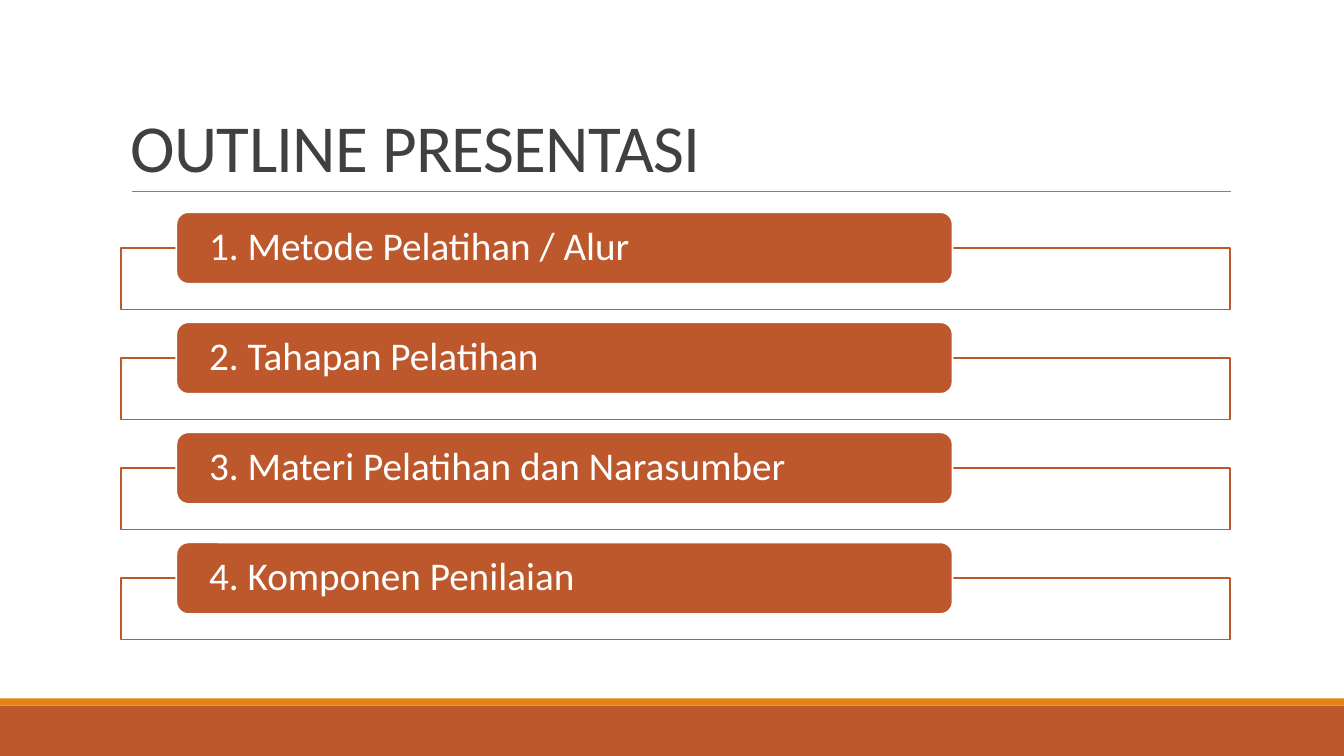
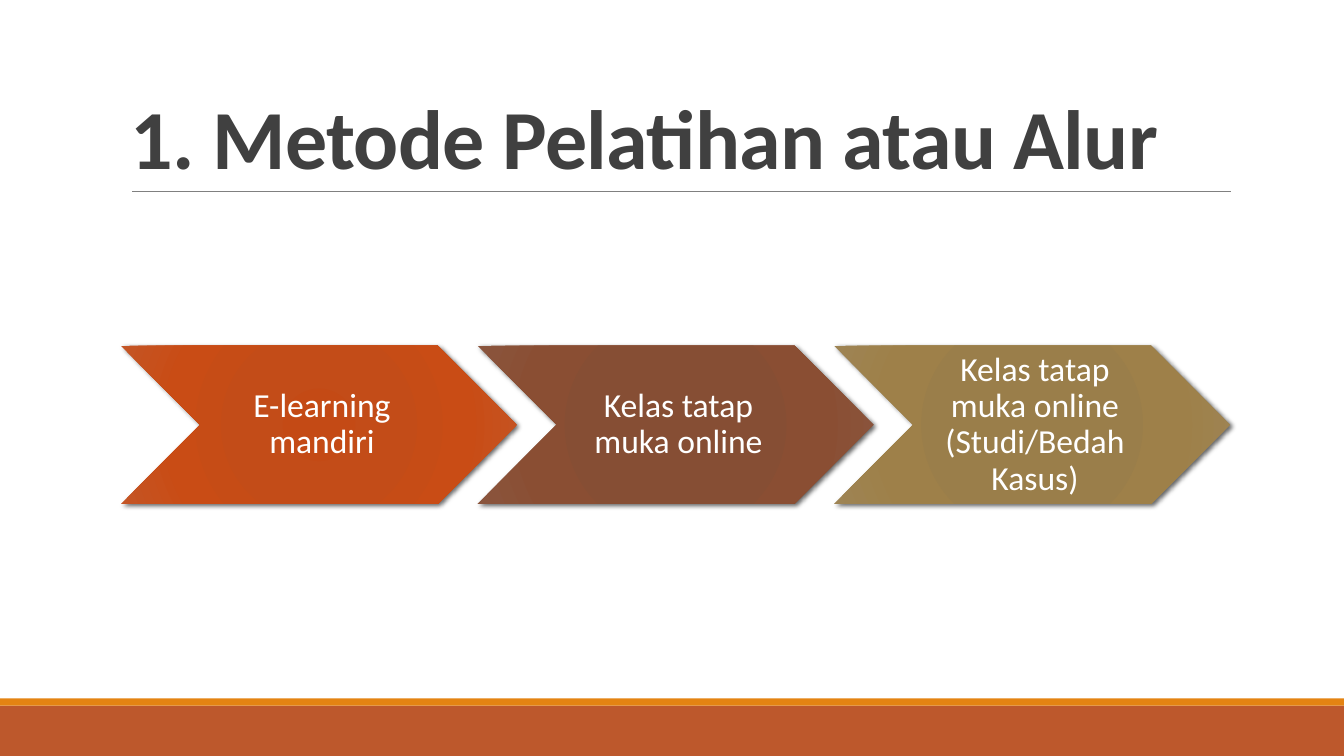
from lxml.etree import SubElement
from pptx import Presentation
from pptx.dml.color import RGBColor
from pptx.enum.shapes import MSO_CONNECTOR, MSO_SHAPE
from pptx.enum.text import MSO_ANCHOR, PP_ALIGN
from pptx.oxml.ns import qn
from pptx.util import Inches, Pt

CELL = 0.1  # side of a grid cell in inches
COLUMNS, ROWS = 133.33, 75
FONT = "Calibri"
COLORS = {
    "rust": "BD582C",
    "orange": "E48312",
    "rule": "808080",
    "title": "404040",
    "white": "FFFFFF",
    "shadow": "000000",
}
GRADIENT_STOPS = (0, 34, 70, 100)

TOPICS = [
    "1. Metode Pelatihan / Alur",
    "2. Tahapan Pelatihan",
    "3. Materi Pelatihan dan Narasumber",
    "4. Komponen Penilaian",
]
STEPS = [
    ("E-learning mandiri", ("C44A15", "C34C18", "C94C15", "C45525")),
    ("Kelas tatap muka online", ("874C32", "864E34", "8A4E33", "8A553D")),
    ("Kelas tatap muka online (Studi/Bedah Kasus)",
     ("9A7D48", "9A7E4A", "9E8049", "9E8454")),
]


def grid(*cells):
    """Turn grid cells into slide lengths."""
    return [Inches(cell * CELL) for cell in cells]


def color(name):
    return RGBColor.from_string(COLORS[name])


def write(box, text, size, ink="white", bold=False, align=PP_ALIGN.LEFT,
          anchor=MSO_ANCHOR.MIDDLE, leading=0.9, insets=(1, 0.5, 1, 0.5),
          tracking=None):
    """Put one formatted paragraph into a shape or text box."""
    frame = box.text_frame
    frame.word_wrap = True
    frame.vertical_anchor = anchor
    (frame.margin_left, frame.margin_top,
     frame.margin_right, frame.margin_bottom) = grid(*insets)
    para = frame.paragraphs[0]
    para.alignment, para.line_spacing = align, leading
    span = para.add_run()
    span.text = text
    font = span.font
    font.name, font.size, font.bold = FONT, Pt(size), bold
    font.color.rgb = color(ink)
    if tracking is not None:
        font._element.set("spc", str(round(tracking * 100)))


class Slides:
    """The deck's style and its current page."""

    def __init__(self):
        self.deck = Presentation()
        self.deck.slide_width, self.deck.slide_height = grid(COLUMNS, ROWS)
        self.page = None

    def new_page(self, title, size, bold=False):
        self.page = self.deck.slides.add_slide(self.deck.slide_layouts[6])
        # Footer bands
        self.shape(MSO_SHAPE.RECTANGLE, 0, 70, COLUMNS, 5, fill="rust")
        self.shape(MSO_SHAPE.RECTANGLE, 0, 69.3, COLUMNS, 0.7, fill="orange")
        # Title and the rule below it
        self.rule(13.1, 19, 122.1)
        box = self.page.shapes.add_textbox(*grid(12, 3.1, 110, 15.9))
        write(box, title, size, ink="title", bold=bold, leading=0.85,
              anchor=MSO_ANCHOR.BOTTOM, tracking=-0.5)

    def shape(self, kind, left, top, width, height, fill=None, line=None):
        shape = self.page.shapes.add_shape(
            kind, *grid(left, top, width, height))
        shape.shadow.inherit = False
        if fill:
            shape.fill.solid()
            shape.fill.fore_color.rgb = color(fill)
        if line:
            shape.line.color.rgb = color(line)
            shape.line.width = Pt(1.25)
        else:
            shape.line.fill.background()
        return shape

    def rule(self, left, top, right):
        line = self.page.shapes.add_connector(
            MSO_CONNECTOR.STRAIGHT, *grid(left, top, right, top))
        line.line.color.rgb = color("rule")
        line.line.width = Pt(0.5)
        SubElement(line._element.spPr, qn("a:effectLst"))

    def topic(self, text, top):
        """A label that sits on the top edge of an outlined row."""
        self.shape(MSO_SHAPE.RECTANGLE, 12, top + 3.55, 110, 6.1,
                   fill="white", line="rust")
        label = self.shape(MSO_SHAPE.ROUNDED_RECTANGLE, 17.5, top, 77, 7.1,
                           fill="rust", line="white")
        write(label, text, 28, insets=(2.9, 0, 2.9, 0))

    def step(self, text, tones, left, width):
        """A shaded chevron with a soft shadow."""
        chevron = self.shape(MSO_SHAPE.CHEVRON, left, 34.3, width, 15.7)
        self.shade(chevron, tones)
        self.cast_shadow(chevron)
        write(chevron, text, 24, align=PP_ALIGN.CENTER,
              insets=(1, 0.4, 0.4, 0.4))

    def shade(self, shape, tones):
        """Fill a shape with a circular gradient."""
        properties = shape._element.spPr
        gradient = SubElement(properties, qn("a:gradFill"), rotWithShape="1")
        properties.find(qn("a:prstGeom")).addnext(gradient)
        stops = SubElement(gradient, qn("a:gsLst"))
        for place, tone in zip(GRADIENT_STOPS, tones):
            stop = SubElement(stops, qn("a:gs"), pos=str(place * 1000))
            SubElement(stop, qn("a:srgbClr"), val=tone)
        circle = SubElement(gradient, qn("a:path"), path="circle")
        SubElement(circle, qn("a:fillToRect"),
                   {side: "100000" for side in "ltrb"})

    def cast_shadow(self, shape):
        effects = shape._element.spPr.find(qn("a:effectLst"))
        shadow = SubElement(
            effects, qn("a:outerShdw"), blurRad=str(Pt(3.5)),
            dist=str(Pt(2)), dir=str(45 * 60000), rotWithShape="0")
        tone = SubElement(shadow, qn("a:srgbClr"), val=COLORS["shadow"])
        SubElement(tone, qn("a:alpha"), val="60000")


def main():
    slides = Slides()

    # Outline
    slides.new_page("OUTLINE PRESENTASI", 48)
    for index, text in enumerate(TOPICS):
        slides.topic(text, 21.05 + index * 10.92)

    # Training flow: each chevron starts at nine tenths of the one before
    slides.new_page("1. Metode Pelatihan atau Alur", 60, bold=True)
    width = 39.3
    for index, (text, tones) in enumerate(STEPS):
        slides.step(text, tones, 12 + index * width * 0.9, width)

    slides.deck.save("out.pptx")


if __name__ == "__main__":
    main()
